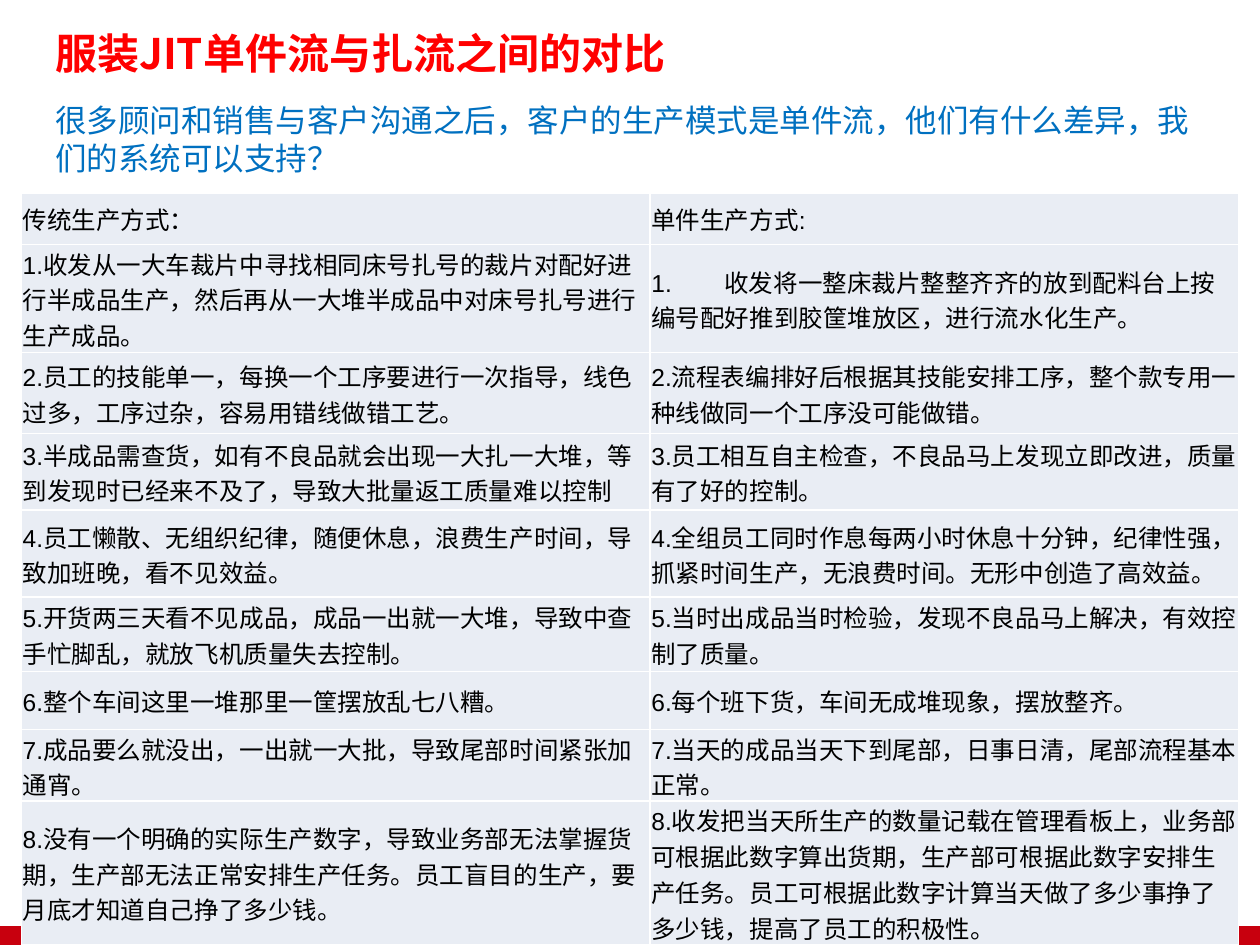
from lxml import etree
from pptx import Presentation
from pptx.dml.color import RGBColor
from pptx.enum.shapes import MSO_SHAPE
from pptx.enum.text import MSO_ANCHOR
from pptx.oxml.ns import qn
from pptx.util import Inches, Pt

RECTANGLE = MSO_SHAPE.RECTANGLE
MIDDLE = MSO_ANCHOR.MIDDLE
COLORS = {"bar": "C8000E", "title": "FF0000", "question": "0070C0",
          "cell": "E9EDF4", "text": "000000"}
COLUMNS = [4.99, 4.67]
ROWS = [0.41, 0.86, 0.64, 0.61, 0.69, 0.59, 0.46, 0.57, 1.14]
COMPARISON = [
    ("传统生产方式：", "单件生产方式:"),
    ("1.收发从一大车裁片中寻找相同床号扎号的裁片对配好进行半成品生产，然后再从一大堆半成品中对床号扎号进行生产成品。",
     "1.\t收发将一整床裁片整整齐齐的放到配料台上按编号配好推到胶筐堆放区，进行流水化生产。"),
    ("2.员工的技能单一，每换一个工序要进行一次指导，线色过多，工序过杂，容易用错线做错工艺。",
     "2.流程表编排好后根据其技能安排工序，整个款专用一种线做同一个工序没可能做错。"),
    ("3.半成品需查货，如有不良品就会出现一大扎一大堆，等到发现时已经来不及了，导致大批量返工质量难以控制",
     "3.员工相互自主检查，不良品马上发现立即改进，质量有了好的控制。"),
    ("4.员工懒散、无组织纪律，随便休息，浪费生产时间，导致加班晚，看不见效益。",
     "4.全组员工同时作息每两小时休息十分钟，纪律性强，抓紧时间生产，无浪费时间。无形中创造了高效益。"),
    ("5.开货两三天看不见成品，成品一出就一大堆，导致中查手忙脚乱，就放飞机质量失去控制。",
     "5.当时出成品当时检验，发现不良品马上解决，有效控制了质量。"),
    ("6.整个车间这里一堆那里一筐摆放乱七八糟。",
     "6.每个班下货，车间无成堆现象，摆放整齐。"),
    ("7.成品要么就没出，一出就一大批，导致尾部时间紧张加通宵。",
     "7.当天的成品当天下到尾部，日事日清，尾部流程基本正常。"),
    ("8.没有一个明确的实际生产数字，导致业务部无法掌握货期，生产部无法正常安排生产任务。员工盲目的生产，要月底才知道自己挣了多少钱。",
     "8.收发把当天所生产的数量记载在管理看板上，业务部可根据此数字算出货期，生产部可根据此数字安排生产任务。员工可根据此数字计算当天做了多少事挣了多少钱，提高了员工的积极性。"),
]


def style(paragraph, size, color, name="Arial", bold=False):
    font = paragraph.font
    font.size, font.name, font.bold = Pt(size), name, bold
    font.color.rgb = RGBColor.from_string(COLORS[color])


def add_text(slide, box, text):
    frame = slide.shapes.add_textbox(*map(Inches, box)).text_frame
    frame.word_wrap = True
    frame.text = text
    return frame


prs = Presentation()
prs.slide_width, prs.slide_height = Inches(10), Inches(7.5)
slide = prs.slides.add_slide(prs.slide_layouts[6])

# Bottom bar
bar = slide.shapes.add_shape(RECTANGLE, 0, Inches(7.35), prs.slide_width, Inches(0.15))
bar.shadow.inherit = False
bar.fill.solid()
bar.fill.fore_color.rgb = RGBColor.from_string(COLORS["bar"])
bar.line.fill.background()

# Title
title = add_text(slide, (0.34, 0.19, 8.08, 0.46), "服装JIT单件流与扎流之间的对比")
title.vertical_anchor = MIDDLE
title.margin_top = title.margin_bottom = 0
style(title.paragraphs[0], 24, "title", "Noto Sans CJK SC", True)

# Comparison table
table = slide.shapes.add_table(len(ROWS), len(COLUMNS), Inches(0.17), Inches(1.53),
                               Inches(sum(COLUMNS)), Inches(sum(ROWS))).table
table.first_row = table.horz_banding = False
for column, width in zip(table.columns, COLUMNS):
    column.width = Inches(width)
for row, height, texts in zip(table.rows, ROWS, COMPARISON):
    row.height = Inches(height)
    for cell, text in zip(row.cells, texts):
        cell.text = text
        cell.vertical_anchor = MIDDLE
        cell.margin_left = cell.margin_right = cell.margin_top = Inches(0.01)
        cell.margin_bottom = 0
        cell.fill.solid()
        cell.fill.fore_color.rgb = RGBColor.from_string(COLORS["cell"])
        paragraph = cell.text_frame.paragraphs[0]
        if "\t" in text:
            tabs = etree.SubElement(paragraph._p.get_or_add_pPr(), qn("a:tabLst"))
            etree.SubElement(tabs, qn("a:tab"), pos=str(Inches(0.58)), algn="l")
        style(paragraph, 14, "text")

# Opening question
question = add_text(slide, (0.34, 0.75, 9.25, 0.71),
                    "很多顾问和销售与客户沟通之后，客户的生产模式是单件流，他们有什么差异，我们的系统可以支持？")
question.paragraphs[0].line_spacing = Pt(21.7)
style(question.paragraphs[0], 18, "question")

prs.save("out.pptx")
